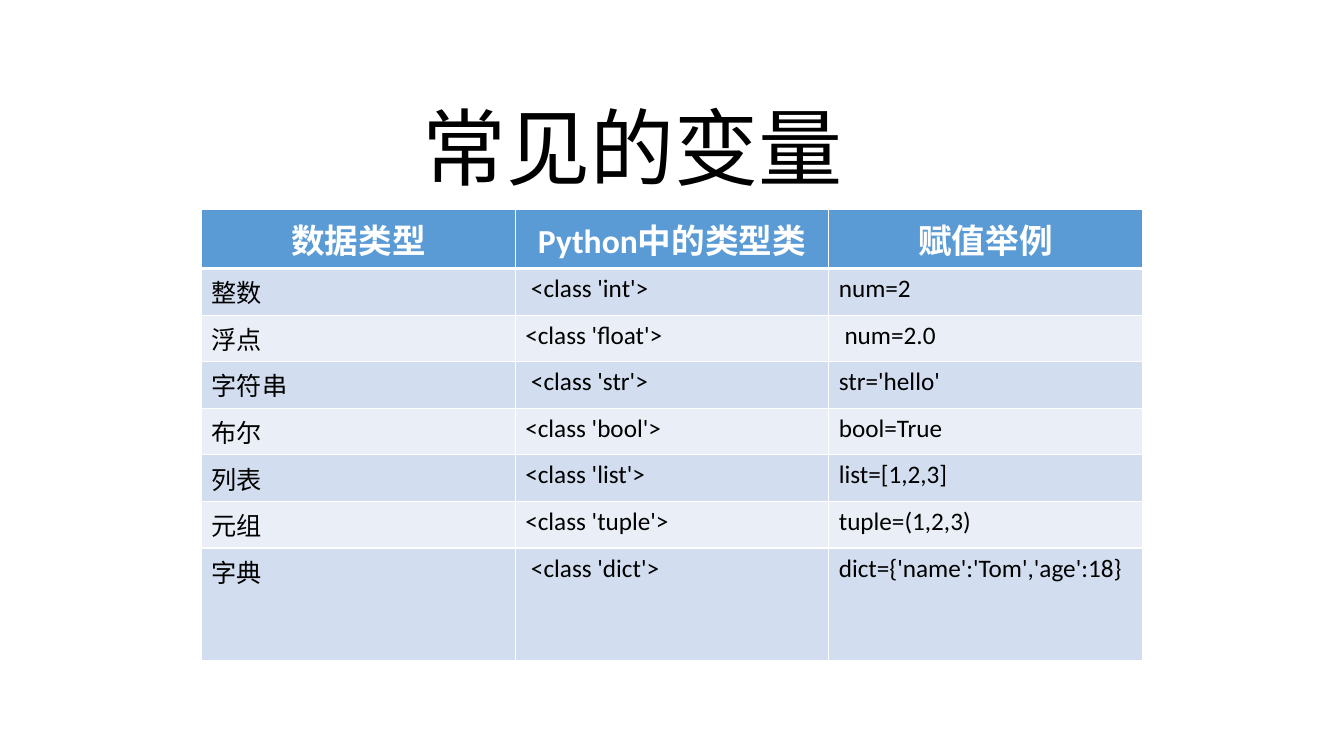
"""Build a slide with a table of common Python variable types."""
from dataclasses import dataclass

from lxml import etree
from pptx import Presentation
from pptx import util as u
from pptx.dml.color import RGBColor
from pptx.enum import text as t
from pptx.oxml import ns


@dataclass(frozen=True)
class Theme:
    """Colours, font and type sizes."""
    font: str = "Calibri"
    ink: str = "000000"
    white: str = "FFFFFF"
    head: str = "5B9BD5"
    bands: tuple = ("D2DEEF", "EAEFF7")
    title: int = 60
    label: int = 24
    body: int = 18


ROWS = [
    ("数据类型", "Python中的类型类", "赋值举例"),
    ("整数", " <class 'int'>", "num=2"),
    ("浮点", "<class 'float'>", " num=2.0"),
    ("字符串", " <class 'str'>", "str='hello'"),
    ("布尔", "<class 'bool'>", "bool=True"),
    ("列表", "<class 'list'>", "list=[1,2,3]"),
    ("元组", "<class 'tuple'>", "tuple=(1,2,3)"),
    ("字典", " <class 'dict'>", "dict={'name':'Tom','age':18}"),
]
HEIGHTS = [0.5] + [0.4] * 6 + [1.12]


def write(frame, words, *, font, size, color, bold=False,
          align=t.PP_ALIGN.LEFT, space=1.0):
    """Put formatted words in a text frame."""
    para = frame.paragraphs[0]
    para.alignment = align
    para.line_spacing = space
    run = para.add_run()
    run.text = words
    run.font.name = font
    run.font.size = u.Pt(size)
    run.font.bold = bold
    run.font.color.rgb = RGBColor.from_string(color)


def edge(cell, side, color, width):
    """Draw one border of a cell."""
    line = etree.SubElement(cell._tc.get_or_add_tcPr(), ns.qn(f"a:ln{side}"),
                            w=str(u.Pt(width)))
    fill = etree.SubElement(line, ns.qn("a:solidFill"))
    etree.SubElement(fill, ns.qn("a:srgbClr"), val=color)


class Deck:
    """Hold the theme and the current slide."""

    def __init__(self, theme):
        """Open a wide deck with one title slide."""
        self.theme = theme
        self.show = Presentation()
        self.show.slide_width = u.Inches(13.33)
        self.show.slide_height = u.Inches(7.5)
        self.slide = self.show.slides.add_slide(self.show.slide_layouts[0])
        sub = self.slide.placeholders[1].element
        sub.getparent().remove(sub)

    def title(self, words, left, top, width, height):
        """Place and fill the title."""
        box = self.slide.shapes.title
        box.left, box.top = u.Inches(left), u.Inches(top)
        box.width, box.height = u.Inches(width), u.Inches(height)
        frame = box.text_frame
        frame.word_wrap = True
        frame.auto_size = t.MSO_AUTO_SIZE.NONE
        frame.vertical_anchor = t.MSO_ANCHOR.BOTTOM
        write(frame, words, font=self.theme.font, size=self.theme.title,
              color=self.theme.ink, align=t.PP_ALIGN.CENTER, space=0.9)

    def table(self, rows, heights, left, top, width):
        """Draw a banded table with a header row."""
        grid = self.slide.shapes.add_table(
            len(rows), len(rows[0]), u.Inches(left), u.Inches(top),
            u.Inches(width), u.Inches(sum(heights))).table
        for r, (row, height) in enumerate(zip(rows, heights)):
            grid.rows[r].height = u.Inches(height)
            for c, words in enumerate(row):
                self.cell(grid.cell(r, c), words, r)

    def cell(self, cell, words, row):
        """Style and fill one cell."""
        look, head = self.theme, row == 0
        for side in "LRTB":
            thick = (row, side) in ((0, "B"), (1, "T"))
            edge(cell, side, look.white, 3 if thick else 1)
        cell.fill.solid()
        shade = look.head if head else look.bands[(row - 1) % 2]
        cell.fill.fore_color.rgb = RGBColor.from_string(shade)
        write(cell.text_frame, words, font=look.font, bold=head,
              size=look.label if head else look.body,
              color=look.white if head else look.ink,
              align=t.PP_ALIGN.CENTER if head else t.PP_ALIGN.LEFT)


def main():
    """Build and save the deck."""
    deck = Deck(Theme())
    deck.title("常见的变量", 2.61, 0.98, 7.33, 1.03)
    deck.table(ROWS, HEIGHTS, 2, 2.08, 9.33)
    deck.show.save("out.pptx")


if __name__ == "__main__":
    main()
